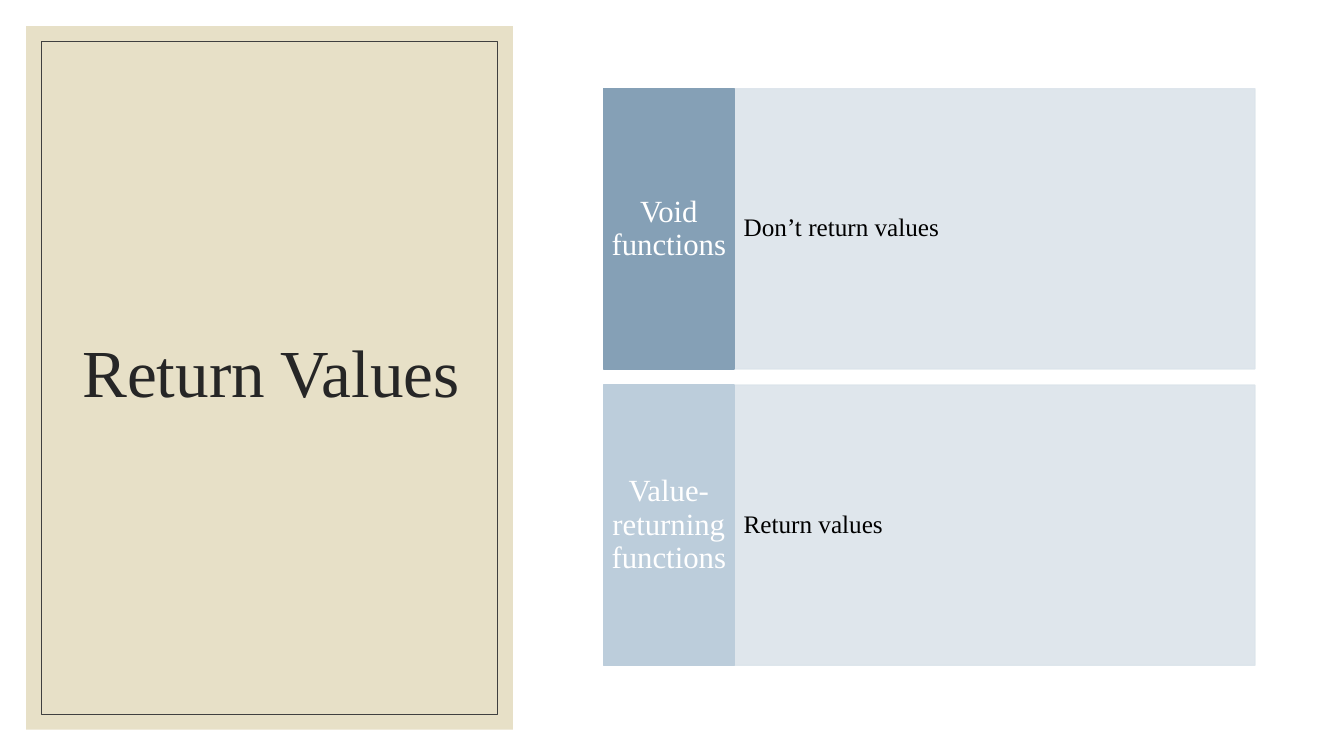
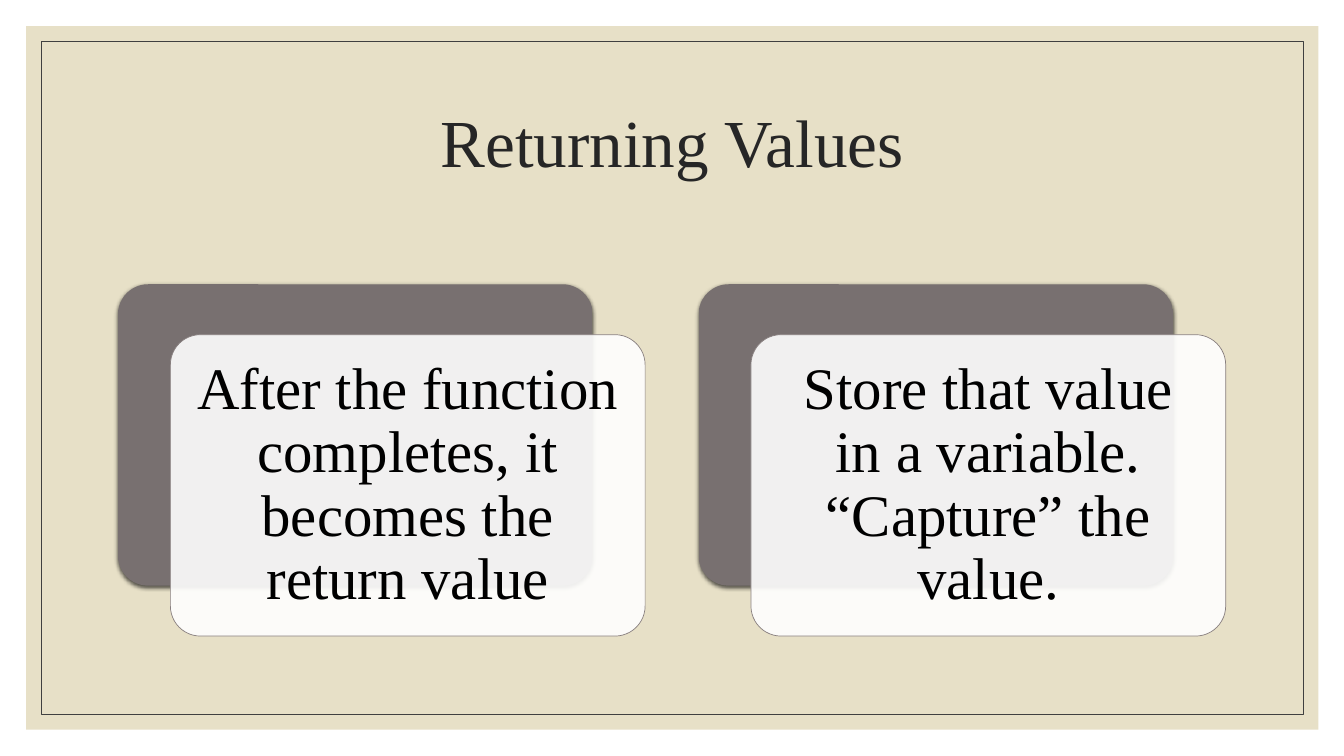
"""Build two slides on return values: a labelled list and a pair of layered cards."""
from dataclasses import dataclass

import pptx
import pptx.dml.color
import pptx.enum.shapes
import pptx.enum.text
import pptx.oxml
import pptx.oxml.ns
import pptx.util
from lxml import etree

Pt = pptx.util.Pt
RGB = pptx.dml.color.RGBColor.from_string
SHAPES = pptx.enum.shapes.MSO_SHAPE
ALIGN = pptx.enum.text.PP_ALIGN
ANCHOR = pptx.enum.text.MSO_ANCHOR
qn = pptx.oxml.ns.qn


@dataclass(frozen=True)
class Theme:
    font: str = "Times New Roman"
    sand: str = "E7E0C7"
    frame: str = "404040"
    title: str = "262626"
    ink: str = "000000"
    white: str = "FFFFFF"
    row_body: str = "DCE4EB"
    row_labels: tuple = ("85A0B6", "BCCDDB")
    card_top: str = "787070"
    card_bottom: str = "776F6F"
    card_line: str = "887F7F"
    title_size: float = 48
    label_size: float = 22
    body_size: float = 18
    card_size: float = 42


THEME = Theme()


def add_box(slide, box, fill=None, line=None, width=1, kind=SHAPES.RECTANGLE):
    shape = slide.shapes.add_shape(kind, *map(Pt, box))
    shape.shadow.inherit = False
    if fill:
        shape.fill.solid()
        shape.fill.fore_color.rgb = RGB(fill)
    else:
        shape.fill.background()
    if line:
        shape.line.color.rgb = RGB(line)
        shape.line.width = Pt(width)
    else:
        shape.line.fill.background()
    return shape


def set_alpha(parent, percent):
    color = parent.find(qn("a:solidFill")).find(qn("a:srgbClr"))
    etree.SubElement(color, qn("a:alpha")).set("val", str(percent * 1000))


def add_soft_shadow(shape):
    effects = shape.element.spPr.find(qn("a:effectLst"))
    shadow = etree.SubElement(effects, qn("a:outerShdw"), blurRad=str(Pt(3)),
                              dist=str(Pt(1)), dir="5400000", rotWithShape="0")
    color = etree.SubElement(shadow, qn("a:srgbClr"), val=THEME.ink)
    etree.SubElement(color, qn("a:alpha"), val="63000")


def write(shape, text, size, color, align=ALIGN.CENTER, insets=(7.2, 3.6)):
    frame = shape.text_frame
    frame.word_wrap = True
    frame.vertical_anchor = ANCHOR.MIDDLE
    frame.margin_left = frame.margin_right = Pt(insets[0])
    frame.margin_top = frame.margin_bottom = Pt(insets[1])
    paragraph = frame.paragraphs[0]
    paragraph.text = text
    paragraph.alignment = align
    paragraph.line_spacing = 0.9
    paragraph.font.name = THEME.font
    paragraph.font.size = Pt(size)
    paragraph.font.color.rgb = RGB(color)


def add_framed_panel(slide, width):
    edge, gap, height = 18.72, 10.8, 502.56
    add_box(slide, (edge, edge, width, height), THEME.sand)
    add_box(slide, (edge + gap, edge + gap, width - 2 * gap, height - 2 * gap),
            line=THEME.frame, width=0.5)


def add_title(slide, text, box):
    title = slide.shapes.add_textbox(*map(Pt, box))
    write(title, text, THEME.title_size, THEME.title)


def add_row(slide, top, label, label_fill, detail):
    left, label_width, body_width, height = 431.28, 92.88, 372.24, 200.16
    body = add_box(slide, (left + label_width, top, body_width, height),
                   THEME.row_body, THEME.row_body)
    set_alpha(body.element.spPr, 90)
    set_alpha(body.line._get_or_add_ln(), 90)
    write(body, detail, THEME.body_size, THEME.ink, ALIGN.LEFT, (7.2, 51.12))
    tag = add_box(slide, (left, top, label_width, height), label_fill, label_fill)
    write(tag, label, THEME.label_size, THEME.white, insets=(5.04, 19.44))


def add_card(slide, left, text):
    top, width, height = 203.04, 339.12, 215.28
    back = add_box(slide, (left, top, width, height), kind=SHAPES.ROUNDED_RECTANGLE)
    back.fill.gradient()
    back.fill.gradient_angle = 270
    for stop, color in zip(back.fill.gradient_stops, (THEME.card_top, THEME.card_bottom)):
        stop.color.rgb = RGB(color)
    add_soft_shadow(back)
    front = add_box(slide, (left + 37.44, top + 36, width, height), THEME.white,
                    THEME.card_line, 0.5, SHAPES.ROUNDED_RECTANGLE)
    set_alpha(front.element.spPr, 90)
    for layer in (back, front):
        layer.adjustments[0] = 0.1
    write(front, text, THEME.card_size, THEME.ink, insets=(12.24, 12.24))


def build_function_kinds(slide):
    add_framed_panel(slide, 347.76)
    add_title(slide, "Return Values", (45.36, 43.92, 296.64, 449.28))
    rows = (("Void functions", "Don’t return values"),
            ("Value-returning functions", "Return values"))
    for index, (label, detail) in enumerate(rows):
        add_row(slide, 63.36 + index * 211.68, label, THEME.row_labels[index], detail)


def build_returning_steps(slide):
    add_framed_panel(slide, 923.04)
    add_title(slide, "Returning Values", (84.24, 50.4, 792, 108))
    steps = ("After the function completes, it becomes the return value",
             "Store that value in a variable. “Capture” the value.")
    for index, step in enumerate(steps):
        add_card(slide, 84.24 + index * 414.72, step)


def main():
    deck = pptx.Presentation()
    deck.slide_width, deck.slide_height = Pt(960), Pt(540)
    for build in (build_function_kinds, build_returning_steps):
        build(deck.slides.add_slide(deck.slide_layouts[6]))
    deck.save("out.pptx")


main()
